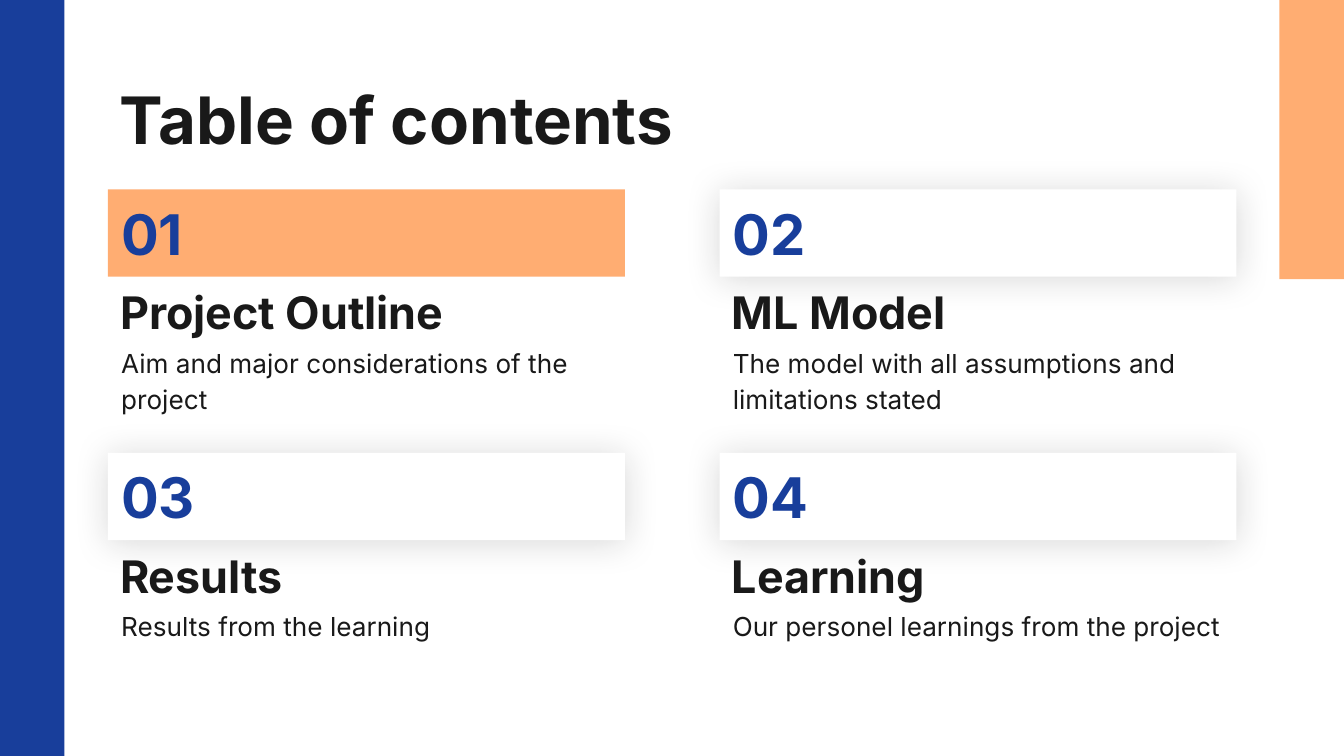
from dataclasses import dataclass

from lxml.etree import SubElement
from pptx import Presentation
from pptx.dml.color import RGBColor
from pptx.enum.shapes import MSO_SHAPE
from pptx.enum.text import MSO_ANCHOR, PP_ALIGN
from pptx.oxml.ns import qn
from pptx.util import Cm, Pt

BLUE = RGBColor(0x18, 0x3E, 0x9B)
ORANGE = RGBColor(0xFF, 0xAD, 0x72)
WHITE = RGBColor(0xFF, 0xFF, 0xFF)
INK = RGBColor(0x19, 0x19, 0x19)
FONT = "Inter"

# All lengths in centimetres
PAGE_WIDTH, PAGE_HEIGHT = 25.4, 14.29
BAND_WIDTH = 1.22
INSET = 0.25
GRID_LEFT, GRID_TOP = 2.04, 3.58
COLUMN_STEP, ROW_STEP = 11.56, 4.98
CARD_WIDTH, BAR_HEIGHT = 9.77, 1.65
HEADING_HEIGHT = 1.42
DETAIL_OFFSET, DETAIL_HEIGHT = 2.64, 1.6


@dataclass(frozen=True)
class Area:
    left: float
    top: float
    width: float
    height: float

    def lengths(self) -> tuple:
        return Cm(self.left), Cm(self.top), Cm(self.width), Cm(self.height)


@dataclass(frozen=True)
class Section:
    heading: str
    detail: str
    highlighted: bool = False


SECTIONS = [
    Section("Project Outline", "Aim and major considerations of the project", highlighted=True),
    Section("ML Model", "The model with all assumptions and limitations stated"),
    Section("Results", "Results from the learning"),
    Section("Learning", "Our personel learnings from the project"),
]


def write_text(box, text: str, *, size: float, color: RGBColor = INK, bold: bool = False,
               anchor=MSO_ANCHOR.TOP, spacing: float = 1.0) -> None:
    frame = box.text_frame
    frame.word_wrap = True
    frame.vertical_anchor = anchor
    frame.margin_left = frame.margin_right = Cm(INSET)
    frame.margin_top = frame.margin_bottom = Cm(INSET)
    para = frame.paragraphs[0]
    para.alignment = PP_ALIGN.LEFT
    para.line_spacing = spacing
    span = para.add_run()
    span.text = text
    span.font.name = FONT
    span.font.size = Pt(size)
    span.font.bold = bold
    span.font.color.rgb = color


def add_text(page, area: Area, text: str, **text_format) -> None:
    write_text(page.shapes.add_textbox(*area.lengths()), text, **text_format)


def add_rectangle(page, area: Area, color: RGBColor):
    box = page.shapes.add_shape(MSO_SHAPE.RECTANGLE, *area.lengths())
    box.fill.solid()
    box.fill.fore_color.rgb = color
    box.line.fill.background()
    box.shadow.inherit = False
    return box


def add_soft_shadow(box) -> None:
    """Give a box a faint, wide shadow that falls straight down."""
    effects = box._element.spPr.find(qn("a:effectLst"))
    shadow = SubElement(effects, qn("a:outerShdw"), blurRad=str(Pt(19.1)), dist=str(Pt(1.5)),
                        dir="5400000", algn="bl", rotWithShape="0")
    color = SubElement(shadow, qn("a:srgbClr"), val=str(INK))
    SubElement(color, qn("a:alpha"), val="17000")


def add_section(page, index: int, section: Section) -> None:
    row, column = divmod(index, 2)
    left = GRID_LEFT + column * COLUMN_STEP
    top = GRID_TOP + row * ROW_STEP

    bar = add_rectangle(page, Area(left, top, CARD_WIDTH, BAR_HEIGHT),
                        ORANGE if section.highlighted else WHITE)
    if not section.highlighted:
        add_soft_shadow(bar)
    write_text(bar, f"{index + 1:02}", size=30, color=BLUE, bold=True, anchor=MSO_ANCHOR.MIDDLE)
    add_text(page, Area(left, top + DETAIL_OFFSET, CARD_WIDTH, DETAIL_HEIGHT),
             section.detail, size=14, spacing=1.15)
    add_text(page, Area(left - 0.02, top + BAR_HEIGHT, CARD_WIDTH, HEADING_HEIGHT),
             section.heading, size=24, bold=True, anchor=MSO_ANCHOR.BOTTOM)


def main() -> None:
    deck = Presentation()
    deck.slide_width, deck.slide_height = Cm(PAGE_WIDTH), Cm(PAGE_HEIGHT)
    page = deck.slides.add_slide(deck.slide_layouts[6])

    add_rectangle(page, Area(0, 0, BAND_WIDTH, PAGE_HEIGHT), BLUE)
    add_rectangle(page, Area(PAGE_WIDTH - BAND_WIDTH, 0, BAND_WIDTH, 5.28), ORANGE)
    add_text(page, Area(2.01, 1.25, 21.41, 1.6), "Table of contents", size=35, bold=True)
    for index, section in enumerate(SECTIONS):
        add_section(page, index, section)

    deck.save("out.pptx")


if __name__ == "__main__":
    main()
